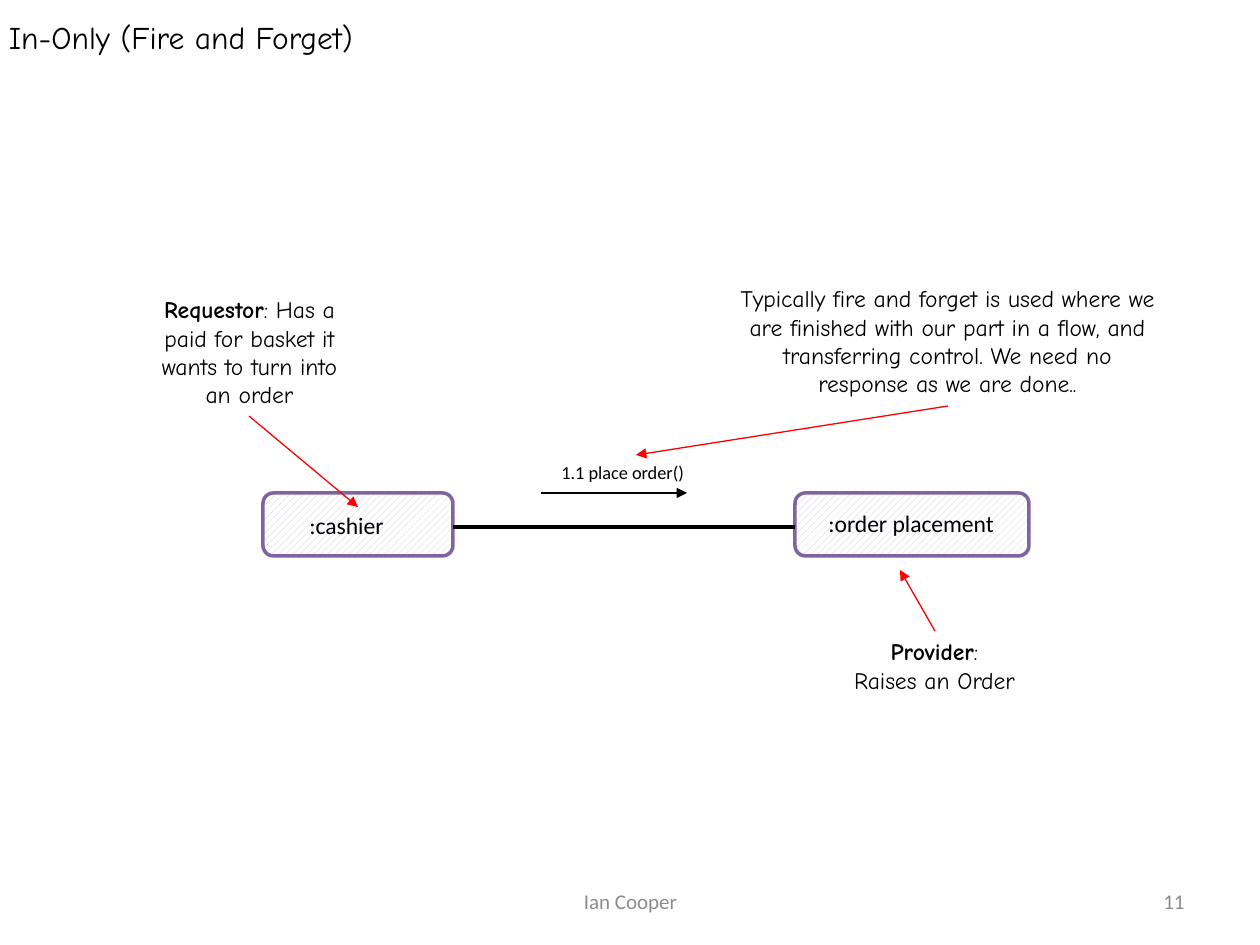
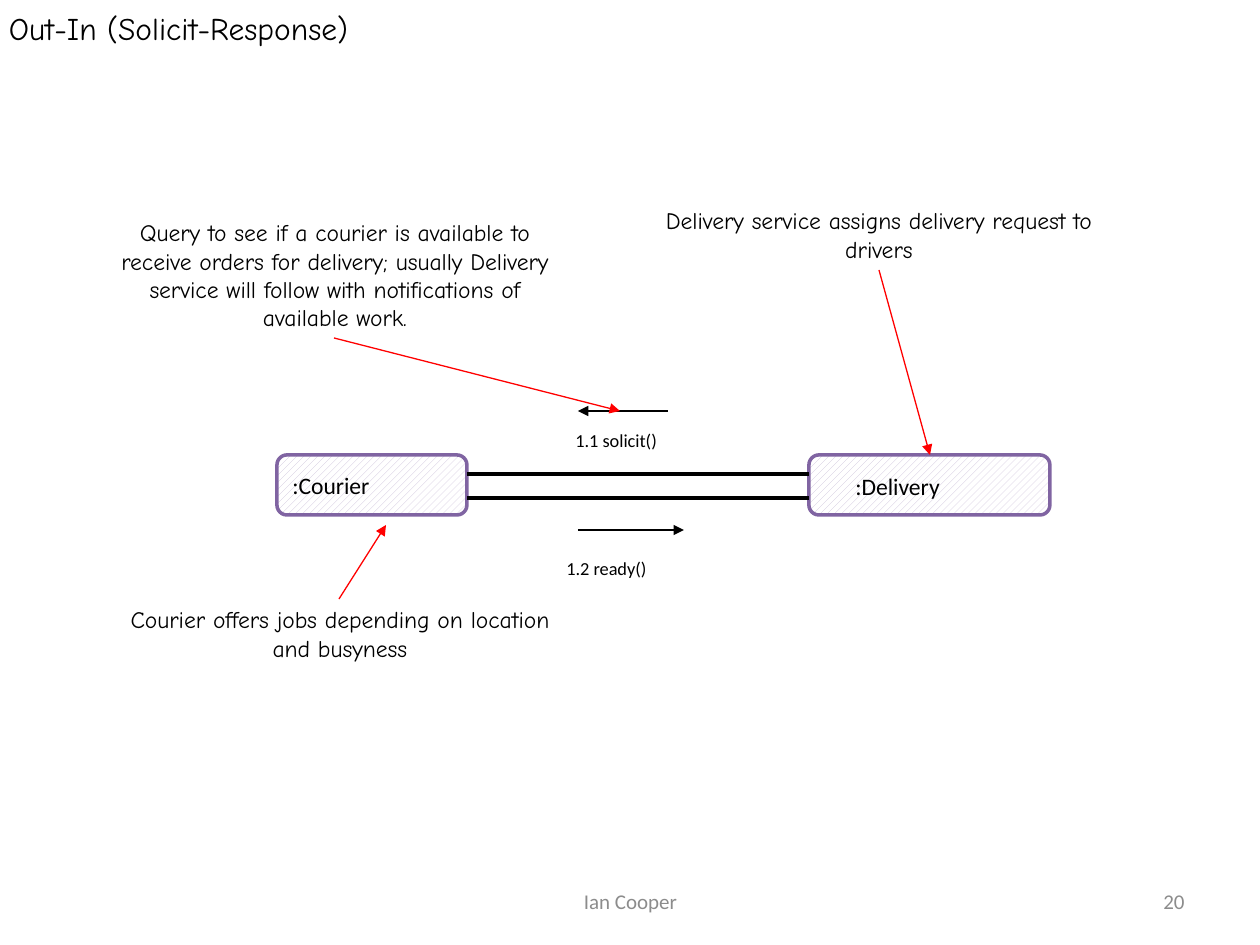
from lxml.etree import SubElement
from pptx import Presentation
from pptx.dml.color import RGBColor
from pptx.enum.dml import MSO_PATTERN
from pptx.enum.shapes import MSO_CONNECTOR, MSO_SHAPE
from pptx.enum.text import MSO_ANCHOR, PP_ALIGN
from pptx.oxml.ns import qn
from pptx.util import Pt

PX = 914400 / 126
BLACK = RGBColor(0x00, 0x00, 0x00)
WHITE = RGBColor(0xFF, 0xFF, 0xFF)
GREY = RGBColor(0x8C, 0x8C, 0x8C)
RED = RGBColor(0xFF, 0x00, 0x00)
PURPLE = RGBColor(0x80, 0x64, 0xA2)
LILAC = RGBColor(0xCC, 0xC1, 0xDA)
BODY_FONT = "Calibri"
NOTE_FONT = "Comic Neue"

# Boxes: place, then name and place of the name.
# Messages: arrow ends, then label and place of the label.
# Notes: place, paragraphs of (bold, plain) runs, then pointer ends.
SLIDES = [
    {
        "title": "In-Only (Fire and Forget)",
        "title_top": 9,
        "number": "11",
        "boxes": [
            ((263, 493, 190, 63), ":cashier", (297, 505, 121, 42)),
            ((795, 493, 234, 63), ":order placement", (816, 503, 202, 42)),
        ],
        "links": [(453, 527, 795, 527)],
        "messages": [
            ((541, 493, 687, 493), "1.1 place order()", (549, 455, 174, 35)),
        ],
        "notes": [
            ((723, 278, 449, 127),
             [("", "Typically fire and forget is used where we are finished "
                   "with our part in a flow, and transferring control. "
                   "We need no response as we are done..")],
             (948, 406, 636, 455)),
            ((820, 631, 229, 71),
             [("Provider", ":"), ("", "Raises an Order")],
             (935, 631, 900, 570)),
            ((135, 289, 229, 127),
             [("Requestor", ": Has a paid for basket it wants to turn into an order")],
             (249, 416, 358, 507)),
        ],
    },
    {
        "title": "Out-In (Solicit-Response)",
        "title_top": 0,
        "number": "20",
        "boxes": [
            ((277, 455, 190, 60), ":Courier", (280, 465, 165, 42)),
            ((809, 455, 241, 60), ":Delivery", (843, 466, 190, 42)),
        ],
        "links": [(467, 474, 809, 474), (467, 498, 809, 498)],
        "messages": [
            ((668, 411, 578, 411), "1.1 solicit()", (563, 423, 147, 35)),
            ((578, 530, 684, 530), "1.2 ready()", (554, 551, 203, 35)),
        ],
        "notes": [
            ((639, 200, 480, 71),
             [("", "Delivery service assigns delivery request to drivers")],
             (879, 270, 930, 455)),
            ((100, 599, 480, 71),
             [("", "Courier offers jobs depending on location and busyness")],
             (339, 599, 386, 525)),
            ((95, 212, 480, 127),
             [("", "Query to see if a courier is available to receive orders "
                   "for delivery; usually Delivery service will follow with "
                   "notifications of available work.")],
             (334, 338, 620, 411)),
        ],
    },
]


def add_text(s, place, paragraphs, size, font=BODY_FONT, color=BLACK,
             align=PP_ALIGN.LEFT, anchor=MSO_ANCHOR.TOP):
    """Add a text box; each paragraph is a (bold, plain) pair of runs."""
    tf = s.shapes.add_textbox(*(round(v * PX) for v in place)).text_frame
    tf.word_wrap = True
    tf.vertical_anchor = anchor
    for i, runs in enumerate(paragraphs):
        p = tf.add_paragraph() if i else tf.paragraphs[0]
        p.alignment = align
        for text, bold in zip(runs, (True, False)):
            if text:
                r = p.add_run()
                r.text = text
                r.font.size = Pt(size)
                r.font.name = font
                r.font.bold = bold
                r.font.color.rgb = color
    return tf


def add_line(s, ends, color, width, arrow=True):
    line = s.shapes.add_connector(MSO_CONNECTOR.STRAIGHT,
                                  *(round(v * PX) for v in ends))
    line.line.color.rgb = color
    line.line.width = Pt(width)
    if arrow:
        SubElement(line.line._get_or_add_ln(), qn("a:tailEnd"), type="triangle")
    SubElement(line._element.spPr, qn("a:effectLst"))


prs = Presentation()
prs.slide_width = round(1260 * PX)
prs.slide_height = round(945 * PX)

for content in SLIDES:
    s = prs.slides.add_slide(prs.slide_layouts[6])

    title = add_text(s, (0, content["title_top"], 1260, 57),
                     [("", content["title"])], 18, NOTE_FONT)
    title.margin_left = title.margin_right = round(9 * PX)
    title.margin_top = title.margin_bottom = round(9 * PX)

    add_text(s, (431, 876, 399, 50), [("", "Ian Cooper")], 12, color=GREY,
             align=PP_ALIGN.CENTER, anchor=MSO_ANCHOR.MIDDLE)
    add_text(s, (903, 876, 294, 50), [("", content["number"])], 12, color=GREY,
             align=PP_ALIGN.RIGHT, anchor=MSO_ANCHOR.MIDDLE)

    for place, name, name_place in content["boxes"]:
        sp = s.shapes.add_shape(MSO_SHAPE.ROUNDED_RECTANGLE,
                                *(round(v * PX) for v in place))
        sp.shadow.inherit = False
        sp.fill.patterned()
        sp.fill.pattern = MSO_PATTERN.WIDE_UPWARD_DIAGONAL
        sp.fill.fore_color.rgb = LILAC
        sp.fill.back_color.rgb = WHITE
        sp.line.color.rgb = PURPLE
        sp.line.width = Pt(2)
        add_text(s, name_place, [("", name)], 13.5)

    for ends in content["links"]:
        add_line(s, ends, BLACK, 2.5, arrow=False)

    for ends, label, label_place in content["messages"]:
        add_line(s, ends, BLACK, 1.5)
        add_text(s, label_place, [("", label)], 10.5)

    for place, paragraphs, pointer in content["notes"]:
        add_text(s, place, paragraphs, 13.5, NOTE_FONT, align=PP_ALIGN.CENTER)
        add_line(s, pointer, RED, 0.75)

prs.save("out.pptx")
